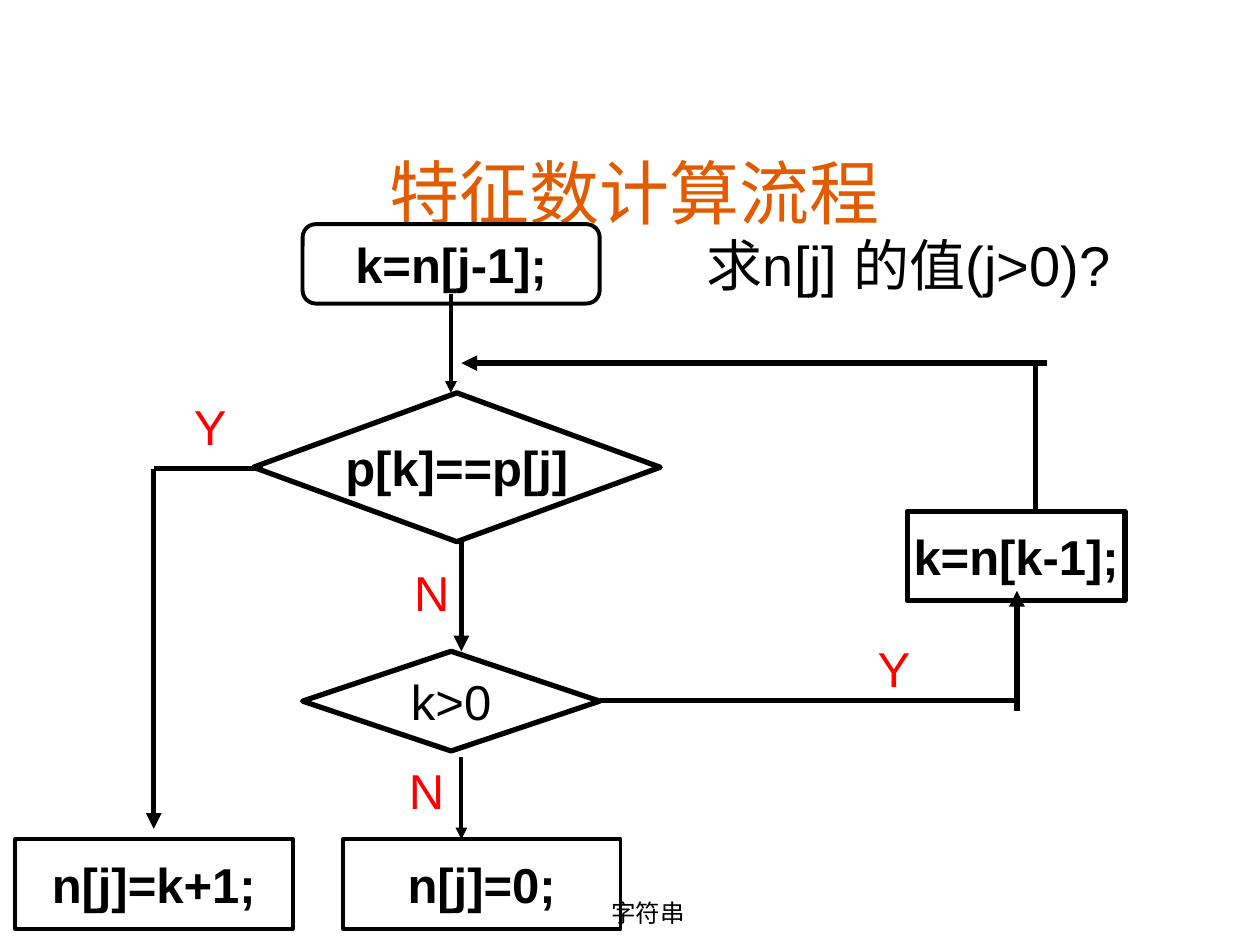
from dataclasses import dataclass

from lxml.etree import SubElement
from pptx import Presentation
from pptx.dml.color import RGBColor
from pptx.enum.shapes import MSO_CONNECTOR, MSO_SHAPE
from pptx.enum.text import MSO_ANCHOR, PP_ALIGN
from pptx.oxml.ns import qn
from pptx.util import Cm, Pt


@dataclass(frozen=True)
class Theme:
    ink: RGBColor = RGBColor(0x00, 0x00, 0x00)
    answer: RGBColor = RGBColor(0xFF, 0x00, 0x00)
    heading: RGBColor = RGBColor(0xE2, 0x5B, 0x00)
    body_font: str = "Arial"
    heading_font: str = "Comic Neue"
    title_size: float = 40
    question_size: float = 32
    step_size: float = 28
    footer_size: float = 14
    thin: float = 2.25
    thick: float = 3


class FlowSlide:
    def __init__(self, slide, theme):
        self.slide = slide
        self.theme = theme

    def add_words(self, shape, words, size, color=None, font=None, bold=False,
                  align=PP_ALIGN.CENTER, anchor=MSO_ANCHOR.MIDDLE, wrap=False):
        frame = shape.text_frame
        frame.word_wrap = wrap
        frame.vertical_anchor = anchor
        paragraph = frame.paragraphs[0]
        paragraph.alignment = align
        run = paragraph.add_run()
        run.text = words
        run.font.size = Pt(size)
        run.font.bold = bold
        run.font.name = font or self.theme.body_font
        run.font.color.rgb = color or self.theme.ink

    def title(self, words, box):
        heading = self.slide.shapes.title
        heading.left, heading.top, heading.width, heading.height = map(Cm, box)
        self.add_words(heading, words, self.theme.title_size, self.theme.heading,
                       self.theme.heading_font, anchor=MSO_ANCHOR.BOTTOM, wrap=True)

    def text(self, words, box, size, **style):
        self.add_words(self.slide.shapes.add_textbox(*map(Cm, box)), words, size, **style)

    def answer(self, words, box):
        self.text(words, box, self.theme.step_size, color=self.theme.answer)

    def step(self, kind, words, box, weight, bold=True):
        node = self.slide.shapes.add_shape(kind, *map(Cm, box))
        node.shadow.inherit = False
        node.fill.background()
        node.line.color.rgb = self.theme.ink
        node.line.width = Pt(weight)
        self.add_words(node, words, self.theme.step_size, bold=bold)

    def line(self, start, end, weight, arrow=False):
        link = self.slide.shapes.add_connector(
            MSO_CONNECTOR.STRAIGHT, *map(Cm, start + end))
        link.line.color.rgb = self.theme.ink
        link.line.width = Pt(weight)
        properties = link._element.spPr
        if arrow:
            SubElement(properties.find(qn("a:ln")), qn("a:tailEnd"), type="triangle")
        SubElement(properties, qn("a:effectLst"))


def main():
    deck = Presentation()
    deck.slide_width, deck.slide_height = Cm(25.4), Cm(19.05)
    theme = Theme()
    flow = FlowSlide(deck.slides.add_slide(deck.slide_layouts[5]), theme)

    flow.text("字符串", (9.04, 17.98, 8.05, 1.27), theme.footer_size,
              font=theme.heading_font, anchor=MSO_ANCHOR.TOP, wrap=True)
    flow.title("特征数计算流程", (1.9, 2.72, 21.79, 2.11))
    flow.text("求n[j] 的值(j>0)?", (14, 4.52, 11.4, 1.63), theme.question_size,
              align=PP_ALIGN.LEFT, anchor=MSO_ANCHOR.TOP, wrap=True)

    process = MSO_SHAPE.FLOWCHART_PROCESS
    decision = MSO_SHAPE.FLOWCHART_DECISION
    result_top, step_height = 16.92, 1.8
    flow.step(MSO_SHAPE.FLOWCHART_ALTERNATE_PROCESS, "k=n[j-1];",
              (6.1, 4.52, 5.99, 1.6), theme.thin)
    flow.step(decision, "p[k]==p[j]", (5.11, 7.92, 8.2, 3), theme.thick)
    flow.step(decision, "k>0", (6.1, 13.13, 5.99, 2.01), theme.thick, bold=False)
    flow.step(process, "k=n[k-1];", (18.29, 10.31, 4.39, step_height), theme.thick)
    for words, left in (("n[j]=k+1;", 0.3), ("n[j]=0;", 6.91)):
        flow.step(process, words, (left, result_top, 5.6, step_height), theme.thin)

    main_x, match_x, retry_x, loop_x = 9.3, 3.1, 20.5, 20.88
    match_y, retry_y, loop_y = 9.45, 14.12, 7.32
    flow.line((9.09, 5.92), (9.09, 7.92), theme.thin, arrow=True)
    flow.line((main_x, 10.92), (main_x, 13.13), theme.thick, arrow=True)
    flow.line((main_x, 15.27), (main_x, result_top), theme.thin, arrow=True)
    flow.line((5.31, match_y), (match_x, match_y), theme.thick)
    flow.line((match_x, match_y), (match_x, 16.71), theme.thick, arrow=True)
    flow.line((12.09, retry_y), (retry_x, retry_y), theme.thick)
    flow.line((retry_x, 14.33), (retry_x, 11.91), theme.thick, arrow=True)
    flow.line((loop_x, 10.31), (loop_x, loop_y), theme.thick)
    flow.line((21.11, loop_y), (main_x, loop_y), theme.thick, arrow=True)

    flow.answer("Y", (3.66, 7.92, 0.97, 1.35))
    flow.answer("N", (8.1, 11.33, 0.99, 1.19))
    flow.answer("Y", (17.27, 12.8, 1.5, 1.32))
    flow.answer("N", (7.9, 14.94, 1.4, 1.98))

    deck.save("out.pptx")


if __name__ == "__main__":
    main()
